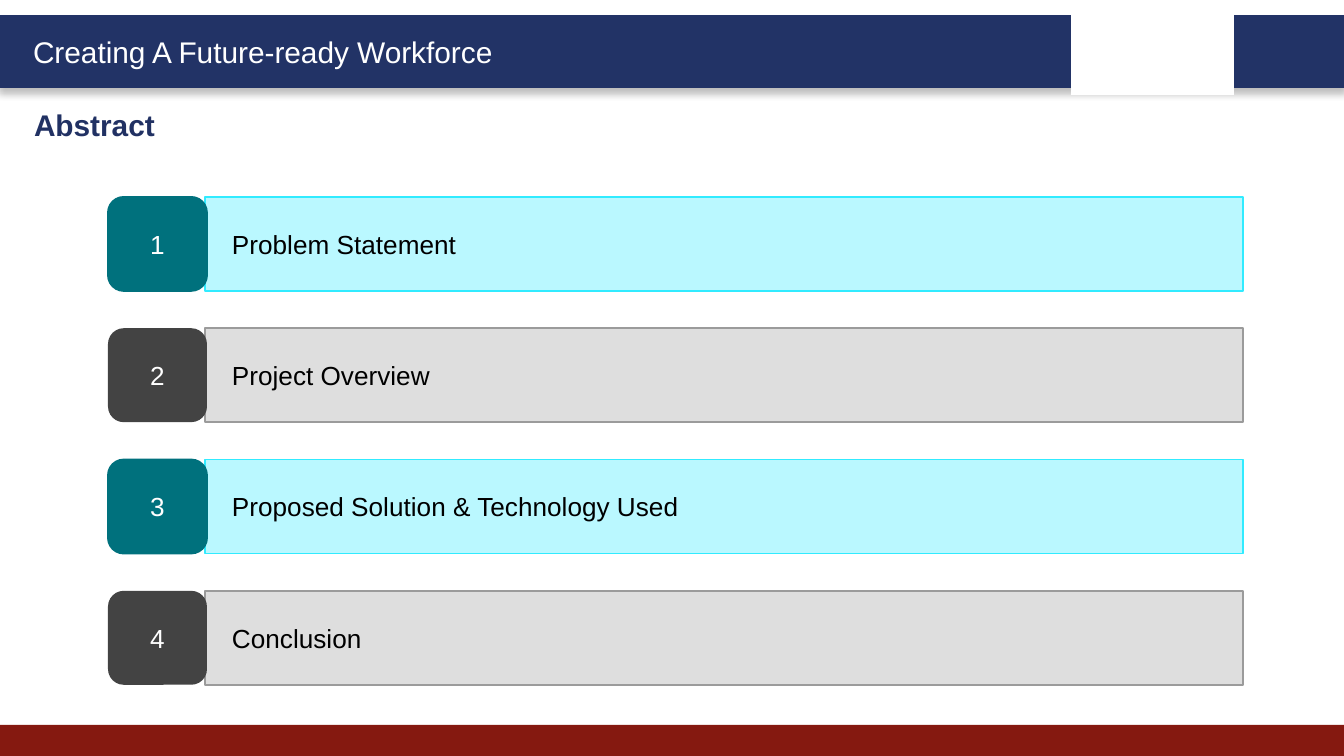
from dataclasses import dataclass

from lxml.etree import SubElement
from pptx import Presentation
from pptx.dml.color import RGBColor
from pptx.enum.shapes import MSO_SHAPE as Shape
from pptx.enum.text import MSO_ANCHOR as Anchor, PP_ALIGN as Align
from pptx.oxml.ns import qn
from pptx.util import Pt

BANNER = "Creating A Future-ready Workforce"
HEADING = "Abstract"
TOPICS = [
    "Problem Statement",
    "Project Overview",
    "Proposed Solution & Technology Used",
    "Conclusion",
]


@dataclass(frozen=True)
class Theme:
    font: str = "Arial"
    heading_size: int = 16
    topic_size: int = 14
    white: str = "FFFFFF"
    black: str = "000000"
    navy: str = "223366"
    heading: str = "213163"
    red: str = "851910"
    rows: tuple = (
        {"bar": "BAF8FF", "edge": "31EBFF", "badge": "00717D", "badge_edge": "00717D"},
        {"bar": "DEDEDE", "edge": "9B9B9B", "badge": "434343", "badge_edge": None},
    )


THEME = Theme()
SLIDE_W, SLIDE_H = 1344, 756
BADGE_X, BADGE_W = 108, 99
BAR_X, BAR_W = 205, 1038
ROW_TOP, ROW_H, ROW_STEP = 197, 94, 131.3


def px(length):
    return round(length * 914400 / 134.4)


def place(part, x, y, w, h):
    part.left, part.top, part.width, part.height = map(px, (x, y, w, h))


def add_block(shapes, kind, box, fill, edge=None, weight=1):
    block = shapes.add_shape(kind, *map(px, box))
    block.shadow.inherit = False
    block.fill.solid()
    block.fill.fore_color.rgb = RGBColor.from_string(fill)
    if edge:
        block.line.color.rgb = RGBColor.from_string(edge)
        block.line.width = Pt(weight)
    else:
        block.line.fill.background()
    return block


def write(part, text, size, color, bold=False, align=Align.LEFT, anchor=Anchor.MIDDLE, inset=13):
    frame = part.text_frame
    frame.word_wrap = True
    frame.vertical_anchor = anchor
    frame.margin_left = px(inset)
    frame.margin_right = px(13)
    frame.margin_top = frame.margin_bottom = px(6)
    paragraph = frame.paragraphs[0]
    paragraph.alignment = align
    run = paragraph.add_run()
    run.text = text
    run.font.name = THEME.font
    run.font.size = Pt(size)
    run.font.bold = bold
    run.font.color.rgb = RGBColor.from_string(color)


def add_soft_shadow(block):
    effects = block.element.spPr.find(qn("a:effectLst"))
    shadow = SubElement(effects, qn("a:outerShdw"), blurRad=str(Pt(4)),
                        dist=str(Pt(3)), dir="5400000", algn="t", rotWithShape="0")
    tint = SubElement(shadow, qn("a:srgbClr"), val=THEME.black)
    SubElement(tint, qn("a:alpha"), val="25000")


def add_frame(slide):
    banner = add_block(slide.shapes, Shape.RECTANGLE, (0, 17, SLIDE_W, 69),
                       THEME.navy, THEME.navy, 2)
    add_soft_shadow(banner)
    add_block(slide.shapes, Shape.RECTANGLE, (0, 725, SLIDE_W, 31), THEME.red)
    add_block(slide.shapes, Shape.RECTANGLE, (1071, 9, 163, 86), THEME.white)
    banner_text = slide.shapes.add_textbox(*map(px, (20, 28, 508, 50)))
    write(banner_text, BANNER, THEME.heading_size, THEME.white, anchor=Anchor.TOP)


def add_topic(slide, index, topic):
    colors = THEME.rows[index % len(THEME.rows)]
    top = ROW_TOP + index * ROW_STEP
    row = slide.shapes.add_group_shape().shapes
    bar = add_block(row, Shape.RECTANGLE, (BAR_X, top, BAR_W, ROW_H),
                    colors["bar"], colors["edge"])
    write(bar, topic, THEME.topic_size, THEME.black, inset=27)
    badge = add_block(row, Shape.ROUNDED_RECTANGLE, (BADGE_X, top, BADGE_W, ROW_H),
                      colors["badge"], colors["badge_edge"])
    write(badge, str(index + 1), THEME.topic_size, THEME.white, align=Align.CENTER)


def main():
    deck = Presentation()
    deck.slide_width, deck.slide_height = px(SLIDE_W), px(SLIDE_H)
    slide = deck.slides.add_slide(deck.slide_layouts[5])
    add_frame(slide)
    place(slide.shapes.title, 21, 101, 651, 50)
    write(slide.shapes.title, HEADING, THEME.heading_size, THEME.heading,
          bold=True, anchor=Anchor.TOP)
    for index, topic in enumerate(TOPICS):
        add_topic(slide, index, topic)
    deck.save("out.pptx")


if __name__ == "__main__":
    main()
